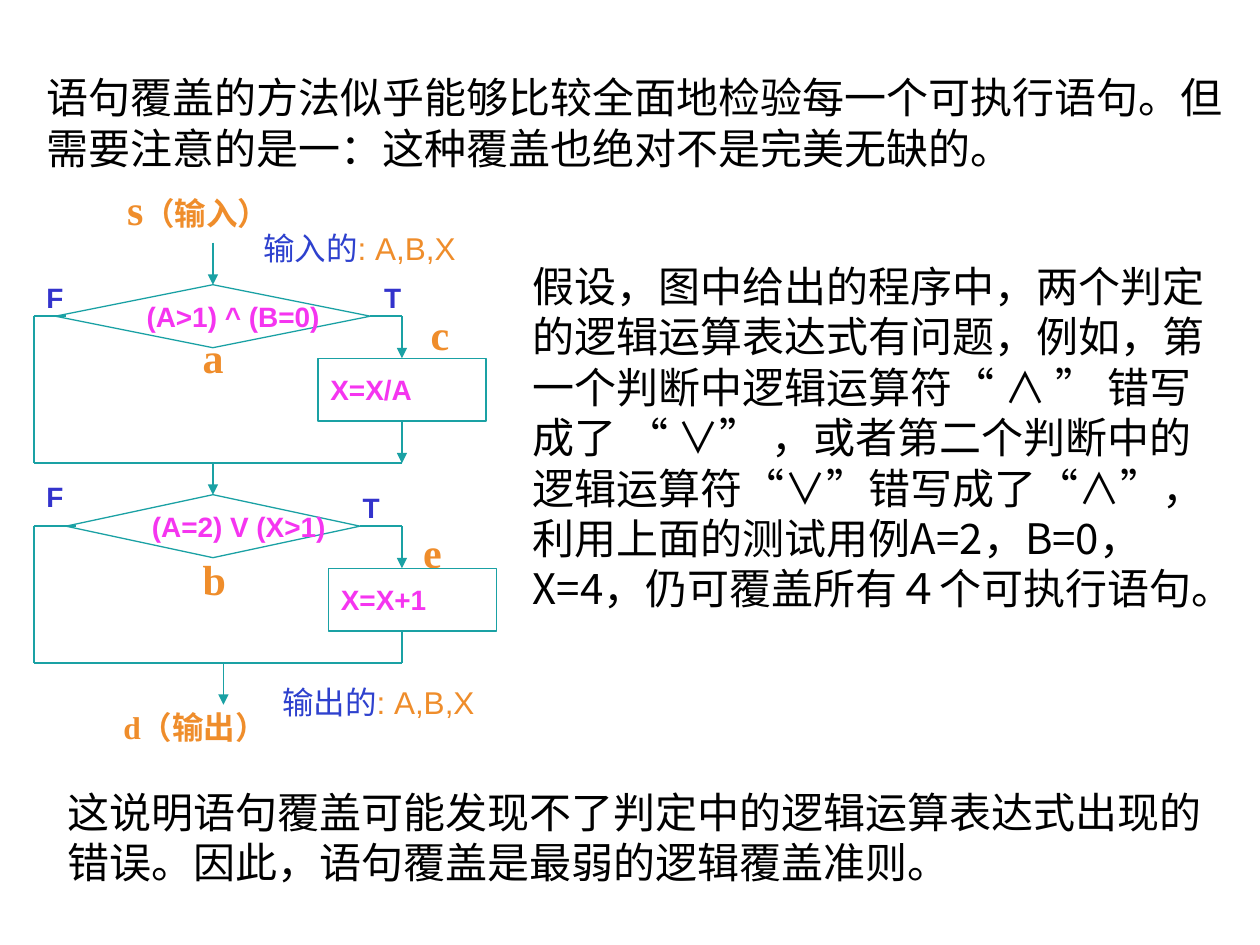
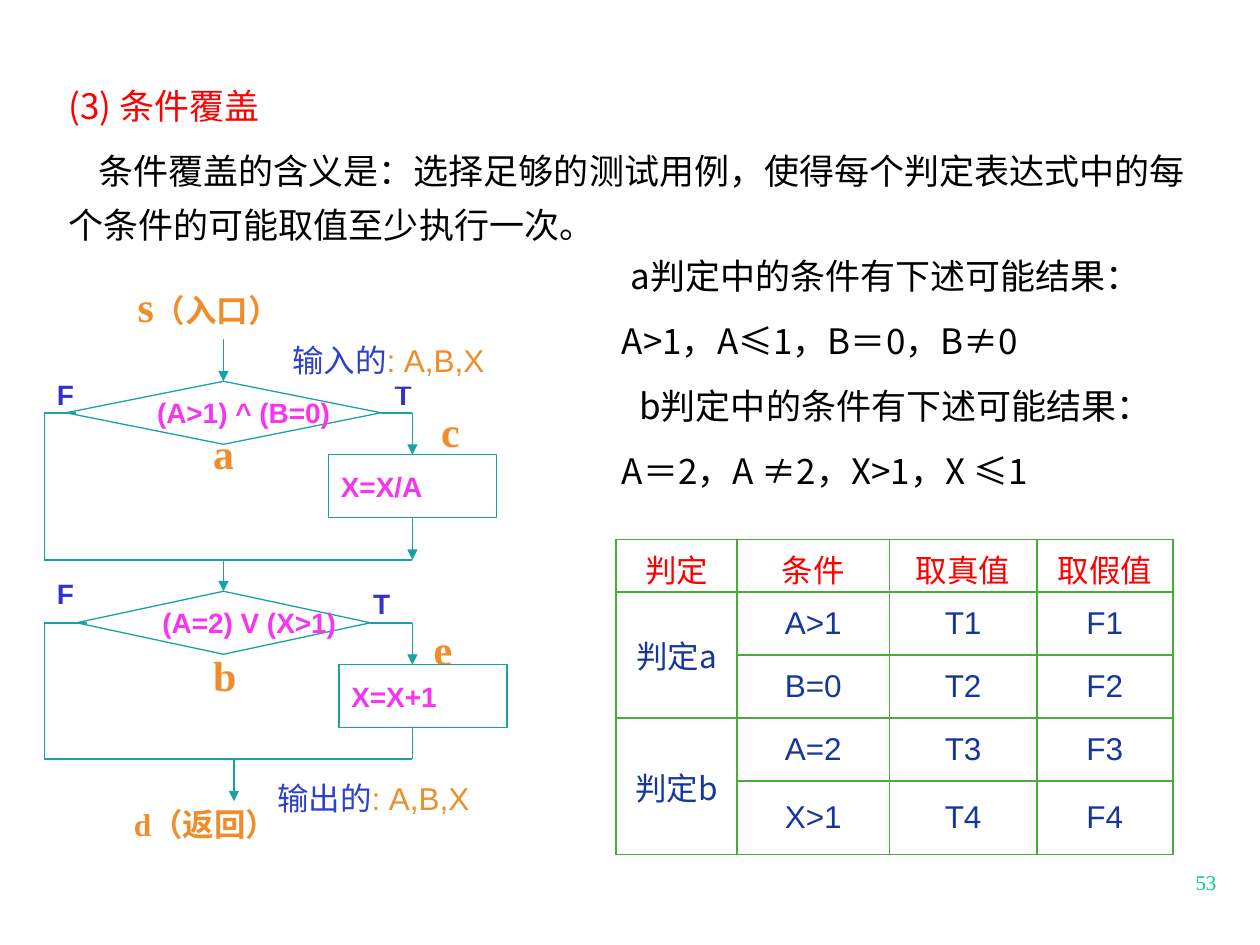
from dataclasses import dataclass

import pptx
import pptx.dml.color
import pptx.enum.shapes
import pptx.enum.text
import pptx.oxml.ns
import pptx.util
from lxml import etree

Pt = pptx.util.Pt
RGB = pptx.dml.color.RGBColor.from_string
qn = pptx.oxml.ns.qn
Preset = pptx.enum.shapes.MSO_SHAPE
Anchor = pptx.enum.text.MSO_ANCHOR


@dataclass(frozen=True)
class Style:
    face: str
    size: float
    color: str
    bold: bool = False


class Theme:
    cjk = "Noto Sans CJK SC"
    white = "FFFFFF"
    flow_line = "1AA1A4"
    table_line = "49AB39"
    body = Style(cjk, 24, "000000")
    heading = Style(cjk, 20, "FF0000")
    detail = Style(cjk, 20, "000000")
    point = Style("Times New Roman", 24, "EF8D2B", True)
    terminal = Style("Times New Roman", 18, "EF8D2B", True)
    branch = Style("Arial", 16, "3333CC", True)
    code = Style("Arial", 16, "F535F0", True)
    port = Style(cjk, 18, "2E41CE")
    variables = Style("Arial", 18, "EF8D2B")
    table_head = Style(cjk, 18, "FF0000")
    table_group = Style(cjk, 18, "16369C")
    table_value = Style("Arial", 18, "16369C")
    number = Style("Times New Roman", 12, "00CC99")


def write(para, text, style):
    para.text = text
    font = para.font
    font.name = style.face
    font.size = Pt(style.size)
    font.bold = style.bold
    font.color.rgb = RGB(style.color)
    etree.SubElement(font._element, qn("a:ea"), typeface=Theme.cjk)


def link(shapes, start, end, arrow=False):
    line = shapes.add_connector(
        pptx.enum.shapes.MSO_CONNECTOR.STRAIGHT, *[Pt(v) for v in (*start, *end)])
    line.line.color.rgb = RGB(Theme.flow_line)
    line.line.width = Pt(1)
    if arrow:
        etree.SubElement(line.line._get_or_add_ln(), qn("a:tailEnd"), type="triangle")
    etree.SubElement(line._element.spPr, qn("a:effectLst"))


deck = pptx.Presentation()
deck.slide_width, deck.slide_height = Pt(720), Pt(540)
statement_page, condition_page = [
    deck.slides.add_slide(deck.slide_layouts[6]) for _ in range(2)]

flowcharts = [
    (statement_page, 0, 0, "（输入）", "（输出）",
     [("输出的", 154.1, 385.9), ("输入的", 143.3, 126.7)]),
    (condition_page, 6, 55.2, "（入口）", "（返回）",
     [("输出的", 151.2, 440.6), ("输入的", 159.8, 190.8)]),
]
decisions = [
    ("(A>1) ^ (B=0)", 180, "X=X/A", 181.7, 24, 84, True),
    ("(A=2) V (X>1)", 168, "X=X+1", 187.7, 18, 78, False),
]

for page, shift_x, shift_y, entry, leave, ports in flowcharts:
    shapes = page.shapes.add_group_shape().shapes
    left, center, right = [x + shift_x for x in (19.4, 121.7, 229.7)]

    labels = [
        ("b", 108.7, 312.5, 28, Theme.point, ""),
        ("a", 108.7, 185.8, 27, Theme.point, ""),
        ("s", 65.5, 101.5, 110, Theme.point, entry),
        ("c", 239, 172.8, 28, Theme.point, ""),
        ("e", 234.7, 297.4, 26, Theme.point, ""),
        ("T", 212.4, 157, 25, Theme.branch, ""),
        ("F", 19.4, 157, 25, Theme.branch, ""),
        ("T", 200.2, 276.5, 25, Theme.branch, ""),
        ("F", 19.4, 270.7, 25, Theme.branch, ""),
        ("d", 63.4, 401, 130, Theme.terminal, leave),
    ]
    for text, x, y, width, style, suffix in labels:
        box = shapes.add_textbox(Pt(x + shift_x), Pt(y + shift_y), Pt(width), Pt(style.size * 1.5))
        box.text_frame.word_wrap = True
        para = box.text_frame.paragraphs[0]
        write(para, text, style)
        if suffix:
            span = para.add_run()
            span.text = suffix
            span.font.size = Pt(Theme.terminal.size)

    for row, (test, width, action, action_left, lead, drop, arrow) in enumerate(decisions):
        middle = 180.7 + 120 * row + shift_y
        action_top, join = middle + 24, middle + drop
        test_left, test_right = center - width / 2, center + width / 2
        nodes = [
            (Preset.FLOWCHART_DECISION, test, test_left, middle - 18, width),
            (Preset.RECTANGLE, action, action_left + shift_x, action_top, 96),
        ]
        for preset, text, x, y, node_width in nodes:
            node = shapes.add_shape(preset, Pt(x), Pt(y), Pt(node_width), Pt(36))
            node.shadow.inherit = False
            node.fill.solid()
            node.fill.fore_color.rgb = RGB(Theme.white)
            node.line.color.rgb = RGB(Theme.flow_line)
            node.line.width = Pt(0.75)
            node.text_frame.word_wrap = False
            node.text_frame.vertical_anchor = Anchor.MIDDLE
            para = node.text_frame.paragraphs[0]
            para.alignment = pptx.enum.text.PP_ALIGN.LEFT
            write(para, text, Theme.code)

        link(shapes, (center, middle - 18 - lead), (center, middle - 18), True)
        link(shapes, (left, middle), (test_left + 6, middle))
        link(shapes, (left, middle), (left, join))
        link(shapes, (left, join), (right, join))
        link(shapes, (test_right, middle), (right, middle))
        link(shapes, (right, middle), (right, action_top), True)
        link(shapes, (right, action_top + 36), (right, join), arrow)
    link(shapes, (center + 6, join), (center + 6, join + 24), True)

    for text, x, y in ports:
        port = shapes.add_shape(Preset.RECTANGLE, Pt(x), Pt(y), Pt(162), Pt(30.2))
        port.shadow.inherit = False
        port.fill.solid()
        port.fill.fore_color.rgb = RGB(Theme.white)
        port.line.fill.background()
        port.text_frame.word_wrap = False
        port.text_frame.vertical_anchor = Anchor.MIDDLE
        para = port.text_frame.paragraphs[0]
        para.alignment = pptx.enum.text.PP_ALIGN.LEFT
        write(para, text, Theme.port)
        span = para.add_run()
        span.text = ": A,B,X"
        span.font.name = Theme.variables.face
        span.font.color.rgb = RGB(Theme.variables.color)

statements = [
    ("语句覆盖的方法似乎能够比较全面地检验每一个可执行语句。但需要注意的是一：这种覆盖也绝对不是完美无缺的。",
     19.4, 37.4, 686.2, 65.5),
    ("假设，图中给出的程序中，两个判定的逻辑运算表达式有问题，例如，第一个判断中逻辑运算符“ ∧ ” 错写成了 “ ∨” ，"
     "或者第二个判断中的逻辑运算符“∨”错写成了“∧”，利用上面的测试用例A=2，B=0，X=4，仍可覆盖所有４个可执行语句。",
     297.4, 145.4, 402.5, 211),
    ("这说明语句覆盖可能发现不了判定中的逻辑运算表达式出现的错误。因此，语句覆盖是最弱的逻辑覆盖准则。",
     31.7, 445.7, 685.4, 65.5),
]
for text, *place in statements:
    box = statement_page.shapes.add_textbox(*[Pt(v) for v in place])
    box.text_frame.word_wrap = True
    write(box.text_frame.paragraphs[0], text, Theme.body)

explanations = [
    ((10.1, 37.4, 679, 108), [
        ("(3) 条件覆盖", 0, Theme.heading),
        ("条件覆盖的含义是：选择足够的测试用例，使得每个判定表达式中的每个条件的可能取值至少执行一次。", 17, Theme.detail),
    ]),
    ((326.2, 134.6, 360, 151.2), [
        ("a判定中的条件有下述可能结果：", 5, Theme.detail),
        ("A>1，A≤1，B＝0，B≠0", 0, Theme.detail),
        ("b判定中的条件有下述可能结果：", 10, Theme.detail),
        ("A＝2，A ≠2，X>1，X ≤1", 0, Theme.detail),
    ]),
]
for place, lines in explanations:
    box = condition_page.shapes.add_textbox(*[Pt(v) for v in place])
    frame = box.text_frame
    frame.word_wrap = True
    for index, (text, indent, style) in enumerate(lines):
        para = frame.add_paragraph() if index else frame.paragraphs[0]
        properties = para._p.get_or_add_pPr()
        properties.set("marL", str(Pt(22)))
        properties.set("indent", str(Pt(indent)))
        para.line_spacing = 1.3
        para.space_before = Pt(6 if index else 0)
        write(para, text, style)

outcomes = [
    ("判定", "条件", "取真值", "取假值"),
    ("判定a", "A>1", "T1", "F1"),
    ("", "B=0", "T2", "F2"),
    ("判定b", "A=2", "T3", "F3"),
    ("", "X>1", "T4", "F4"),
]
table = condition_page.shapes.add_table(
    5, 4, Pt(352.1), Pt(308.2), Pt(318.2), Pt(180)).table
table.first_row = table.horz_banding = False
for column, width in zip(table.columns, (69.1, 87.1, 84.2, 77.8)):
    column.width = Pt(width)
for row, height in zip(table.rows, (30.2, 36, 36, 36, 41.8)):
    row.height = Pt(height)
for top in (1, 3):
    table.cell(top, 0).merge(table.cell(top + 1, 0))
for row, values in enumerate(outcomes):
    for column, value in enumerate(values):
        cell = table.cell(row, column)
        cell.vertical_anchor = Anchor.MIDDLE
        for side in ("lnL", "lnR", "lnT", "lnB"):
            border = etree.SubElement(cell._tc.get_or_add_tcPr(), qn("a:" + side), w=str(Pt(1)))
            paint = etree.SubElement(border, qn("a:solidFill"))
            etree.SubElement(paint, qn("a:srgbClr"), val=Theme.table_line)
        cell.fill.solid()
        cell.fill.fore_color.rgb = RGB(Theme.white)
        if value:
            para = cell.text_frame.paragraphs[0]
            para.alignment = pptx.enum.text.PP_ALIGN.CENTER
            body_style = Theme.table_value if column else Theme.table_group
            write(para, value, body_style if row else Theme.table_head)

number = condition_page.shapes.add_textbox(Pt(676.1), Pt(493.2), Pt(26.6), Pt(21.6))
number.text_frame.word_wrap = False
write(number.text_frame.paragraphs[0], "53", Theme.number)

deck.save("out.pptx")
